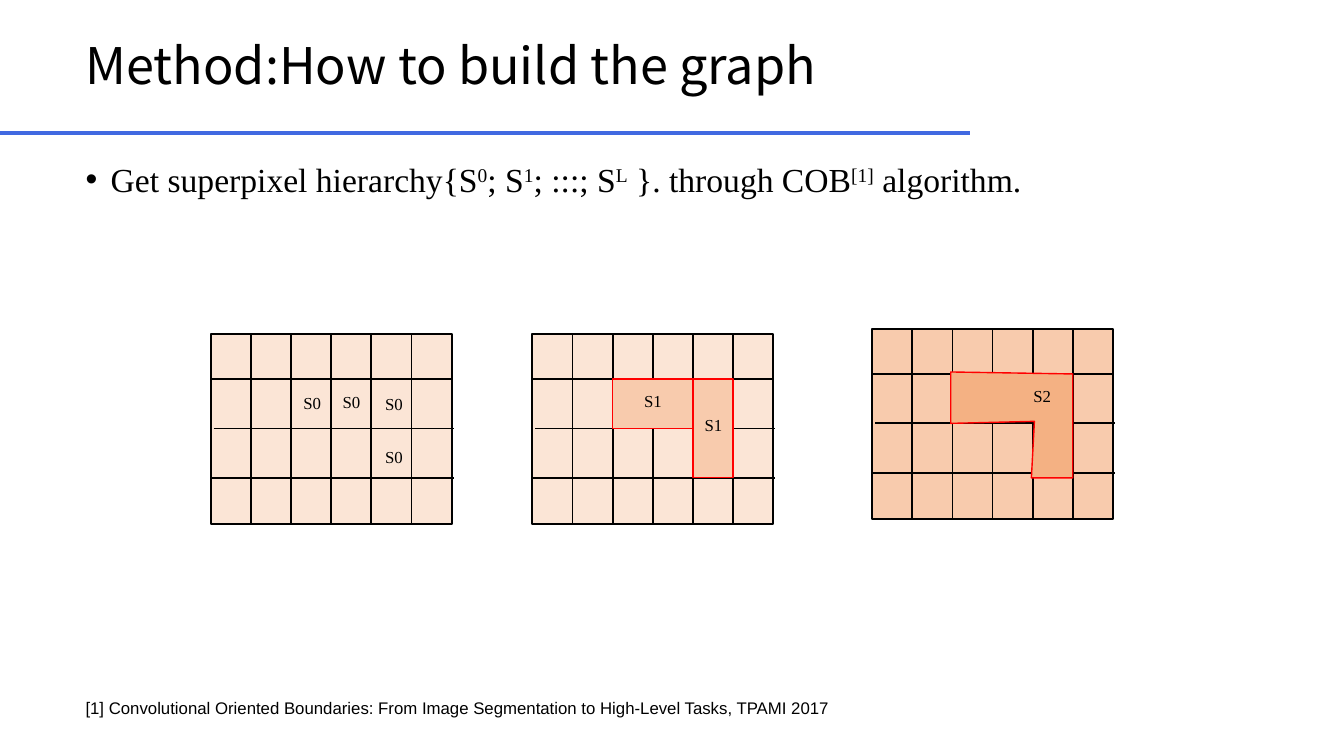
"""Build the slide on superpixel hierarchies as three grids of merging cells."""
from lxml import etree
from pptx import Presentation
from pptx.dml.color import RGBColor
from pptx.enum.shapes import MSO_CONNECTOR, MSO_SHAPE
from pptx.enum.text import MSO_ANCHOR
from pptx.oxml.ns import qn
from pptx.util import Inches, Pt

STRAIGHT = MSO_CONNECTOR.STRAIGHT
RECTANGLE = MSO_SHAPE.RECTANGLE
TOP, MIDDLE = MSO_ANCHOR.TOP, MSO_ANCHOR.MIDDLE
BLACK = RGBColor(0x00, 0x00, 0x00)
BLUE = RGBColor(0x41, 0x69, 0xE1)
RED = RGBColor(0xFF, 0x00, 0x00)
PALE = RGBColor(0xFB, 0xE5, 0xD6)
PEACH = RGBColor(0xF8, 0xCB, 0xAD)
ORANGE = RGBColor(0xF4, 0xB1, 0x83)
SERIF = "Times New Roman"

deck = Presentation()
deck.slide_width, deck.slide_height = Inches(13.33), Inches(7.5)
slide = deck.slides.add_slide(deck.slide_layouts[6])
shapes = slide.shapes


def add_text(box, runs, size, font, anchor=TOP):
    """Add a one-paragraph text of (words, superscript) runs."""
    frame = shapes.add_textbox(*map(Inches, box)).text_frame
    frame.word_wrap = True
    frame.vertical_anchor = anchor
    paragraph = frame.paragraphs[0]
    for words, raised in runs:
        run = paragraph.add_run()
        run.text = words
        run.font.size, run.font.name = Pt(size), font
        run.font.color.rgb = BLACK
        if raised:
            run.font._element.set("baseline", "30000")
    return paragraph


def add_line(start, end, color, width):
    """Draw a straight line without shadow."""
    line = shapes.add_connector(STRAIGHT, *map(Inches, (*start, *end)))
    line.line.color.rgb, line.line.width = color, Pt(width)
    etree.SubElement(line._element.spPr, qn("a:effectLst"))


MARGIN, CONTENT_WIDTH = 0.75, 11.5
title = add_text((MARGIN, 0.03, CONTENT_WIDTH, 1.29),
                 [("Method:How to build the graph", False)], 36, "Noto Sans CJK SC", MIDDLE)
title.line_spacing = 0.9

statement = add_text((MARGIN, 1.57, CONTENT_WIDTH, 4.76), [
    ("Get superpixel hierarchy{S", False), ("0", True), ("; S", False), ("1", True),
    ("; :::; S", False), ("L", True), (" }. through COB", False), ("[1]", True),
    (" algorithm.", False)], 24, SERIF)
statement.line_spacing, statement.space_before = 0.9, Pt(10)
indent = statement._p.get_or_add_pPr()
indent.set("marL", str(Inches(0.25)))
indent.set("indent", str(-Inches(0.25)))
etree.SubElement(indent, qn("a:buFont")).set("typeface", "Arial")
etree.SubElement(indent, qn("a:buChar")).set("char", "\u2022")

add_line((0, 1.32), (9.62, 1.32), BLUE, 2.25)
add_text((MARGIN, 6.87, CONTENT_WIDTH, 0.3),
         [("[1] Convolutional Oriented Boundaries: From Image Segmentation to "
           "High-Level Tasks, TPAMI 2017", False)], 12, "Arial")

GRID_WIDTH, GRID_HEIGHT = 2.39, 1.89
COLUMNS, COLUMN = 6, GRID_WIDTH / 6
FIRST_ROW, ROW = 0.45, 0.49
ROW_ENDS = [(0, 2.39), (0.03, 2.41), (0, 2.41)]
GRIDS = [(2.09, 3.31, PALE), (5.28, 3.31, PALE), (8.65, 3.26, PEACH)]

cells = []
for left, top, fill in GRIDS:
    cells.append((left, top, GRID_WIDTH, GRID_HEIGHT, fill, BLACK, 1.5))
(_, _, _), (pair_left, pair_top, _), (merged_left, merged_top, _) = GRIDS
merged_cells = [
    (pair_left + 2 * COLUMN, pair_top + FIRST_ROW, 2 * COLUMN, ROW, PEACH, RED, 1),
    (pair_left + 4 * COLUMN, pair_top + FIRST_ROW, COLUMN, 2 * ROW, PEACH, RED, 1)]

for stage in (cells, merged_cells):
    for left, top, width, height, fill, outline, weight in stage:
        block = shapes.add_shape(RECTANGLE, *map(Inches, (left, top, width, height)))
        block.shadow.inherit = False
        block.fill.solid()
        block.fill.fore_color.rgb = fill
        block.line.color.rgb, block.line.width = outline, Pt(weight)
    if stage is cells:
        for left, top, _ in GRIDS:
            for row, (start, end) in enumerate(ROW_ENDS):
                y = top + FIRST_ROW + row * ROW
                add_line((left + start, y), (left + end, y), BLACK, 1.25)
            for column in range(1, COLUMNS):
                x = left + column * COLUMN
                add_line((x, top), (x, top + GRID_HEIGHT), BLACK, 1.25)

corners = [(0.78, 0.43), (1.99, 0.45), (1.99, 1.48), (1.58, 1.48), (1.61, 0.92), (0.78, 0.94)]
outline = [(Inches(merged_left + x), Inches(merged_top + y)) for x, y in corners]
builder = shapes.build_freeform(*outline[0], scale=1.0)
builder.add_line_segments(outline[1:], close=True)
region = builder.convert_to_shape()
region.shadow.inherit = False
region.fill.solid()
region.fill.fore_color.rgb = ORANGE
region.line.color.rgb, region.line.width = RED, Pt(1)

LABELS = [("S0", 2.91, 3.85), ("S0", 3.3, 3.84), ("S0", 3.72, 3.86), ("S0", 3.72, 4.38),
          ("S1", 6.29, 3.83), ("S1", 6.89, 4.07), ("S2", 10.15, 3.78)]
for label, left, top in LABELS:
    add_text((left, top, 0.52, 0.3), [(label, False)], 12, SERIF)

deck.save("out.pptx")
